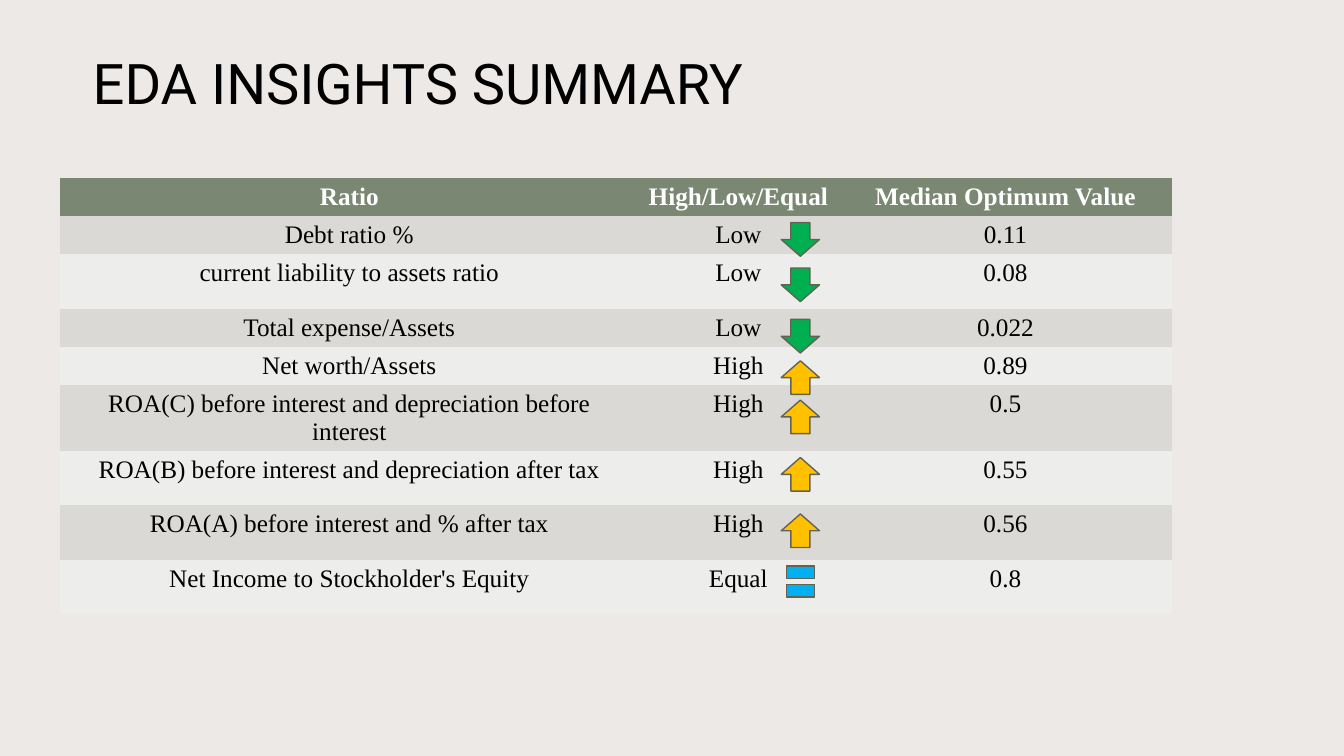
import pptx
import pptx.util
import pptx.dml.color
import pptx.enum.shapes
import pptx.enum.text

SHAPES = pptx.enum.shapes.MSO_SHAPE
PLAIN_TABLE_STYLE = "{2D5ABB26-0587-4C30-8999-92F81FD0307C}"
HEADINGS = ("Ratio", "High/Low/Equal", "Median Optimum Value")
SHORT_ROW, TALL_ROW = 0.93, 1.62

# ratio, direction, median optimum value, row height, top of the direction symbol
RATIOS = [
    ("Debt ratio %", "Low", "0.11", SHORT_ROW, 6.63),
    ("current liability to assets ratio", "Low", "0.08", TALL_ROW, 7.98),
    ("Total expense/Assets", "Low", "0.022", SHORT_ROW, 9.51),
    ("Net worth/Assets", "High", "0.89", SHORT_ROW, 10.74),
    ("ROA(C) before interest and depreciation before interest", "High", "0.5",
     SHORT_ROW, 11.91),
    ("ROA(B) before interest and depreciation after tax", "High", "0.55",
     TALL_ROW, 13.62),
    ("ROA(A) before interest and % after tax", "High", "0.56", TALL_ROW, 15.3),
    ("Net Income to Stockholder's Equity", "Equal", "0.8", TALL_ROW, 16.53),
]

# direction: shape, colour, rotation, height
SYMBOLS = {
    "Low": (SHAPES.DOWN_ARROW, "00B050", 0, 1),
    "High": (SHAPES.DOWN_ARROW, "FFC000", 180, 1),
    "Equal": (SHAPES.MATH_EQUAL, "00B0F0", 0, 1.56),
}


def color(value):
    return pptx.dml.color.RGBColor.from_string(value)


def paint(target, value):
    target.fill.solid()
    target.fill.fore_color.rgb = color(value)


class SlideBuilder:
    """Places elements on a grid of 40 columns by 22.5 rows."""

    title_font = "Roboto"
    table_font = "Times New Roman"
    text_color = "000000"
    header_text = "FFFFFF"
    header_fill = "7A8773"
    band_fills = ("DAD9D5", "EDEDEB")
    outline = "656253"

    def __init__(self, deck, background):
        self.unit = deck.slide_width / 40
        self.slide = deck.slides.add_slide(deck.slide_layouts.get_by_name("Title Only"))
        paint(self.slide.background, background)

    def grid(self, *lengths):
        return [pptx.util.Emu(round(length * self.unit)) for length in lengths]

    def add_text(self, para, text, font, size, text_color, bold=False):
        span = para.add_run()
        span.text = text
        span.font.name = font
        span.font.size = pptx.util.Pt(size)
        span.font.bold = bold
        span.font.color.rgb = color(text_color)

    def title(self, text, *place):
        box = self.slide.shapes.title
        box.left, box.top, box.width, box.height = self.grid(*place)
        frame = box.text_frame
        frame.auto_size = pptx.enum.text.MSO_AUTO_SIZE.NONE
        frame.vertical_anchor = pptx.enum.text.MSO_ANCHOR.MIDDLE
        para = frame.paragraphs[0]
        para.alignment = pptx.enum.text.PP_ALIGN.LEFT
        para.line_spacing = 0.9
        self.add_text(para, text, self.title_font, 40, self.text_color)

    def table(self, rows, left, top, widths, heights):
        place = self.grid(left, top, sum(widths), sum(heights))
        frame = self.slide.shapes.add_table(len(rows), len(widths), *place)
        frame._element.xpath(".//a:tableStyleId")[0].text = PLAIN_TABLE_STYLE
        table = frame.table
        for column, width in zip(table.columns, self.grid(*widths)):
            column.width = width
        for row, height in zip(table.rows, self.grid(*heights)):
            row.height = height
        for index, texts in enumerate(rows):
            header = index == 0
            fill = self.header_fill if header else self.band_fills[(index - 1) % 2]
            text_color = self.header_text if header else self.text_color
            for cell, text in zip(table.rows[index].cells, texts):
                paint(cell, fill)
                para = cell.text_frame.paragraphs[0]
                para.alignment = pptx.enum.text.PP_ALIGN.CENTER
                self.add_text(para, text, self.table_font, 18, text_color, header)

    def symbol(self, direction, left, top):
        kind, fill, rotation, height = SYMBOLS[direction]
        shape = self.slide.shapes.add_shape(kind, *self.grid(left, top, 1.14, height))
        shape.rotation = rotation
        shape.shadow.inherit = False
        paint(shape, fill)
        shape.line.color.rgb = color(self.outline)
        shape.line.width = pptx.util.Pt(1)


def main():
    deck = pptx.Presentation()
    deck.slide_width = pptx.util.Inches(13.33)
    deck.slide_height = pptx.util.Inches(7.5)
    page = SlideBuilder(deck, "EDE9E7")
    page.title("EDA INSIGHTS SUMMARY", 2.46, 1.5, 34.5, 2.13)
    rows = [HEADINGS] + [ratio[:3] for ratio in RATIOS]
    heights = [SHORT_ROW] + [ratio[3] for ratio in RATIOS]
    page.table(rows, 1.8, 5.31, (17.19, 5.97, 9.93), heights)
    for _, direction, _, _, top in RATIOS:
        page.symbol(direction, 23.25, top)
    deck.save("out.pptx")


if __name__ == "__main__":
    main()
